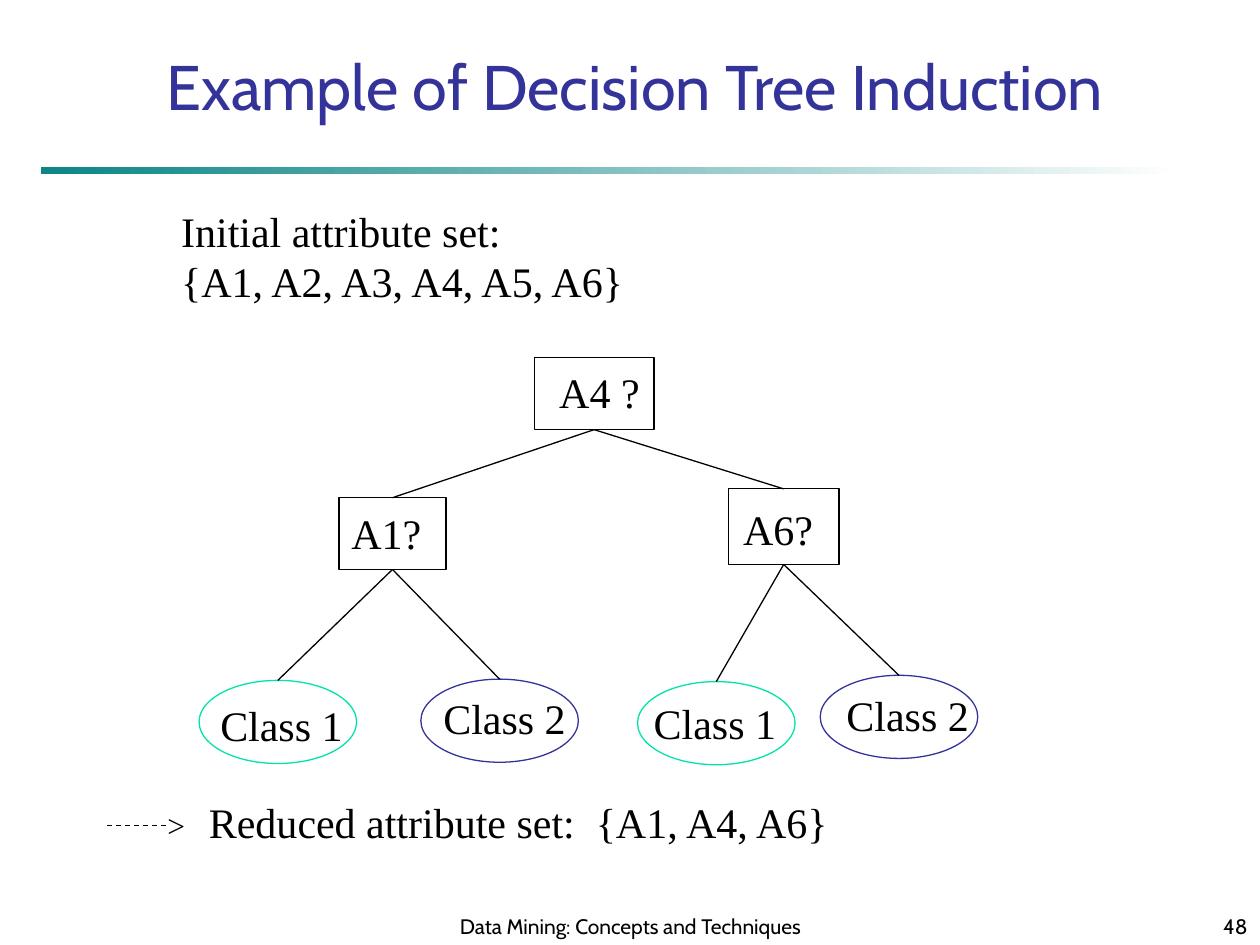
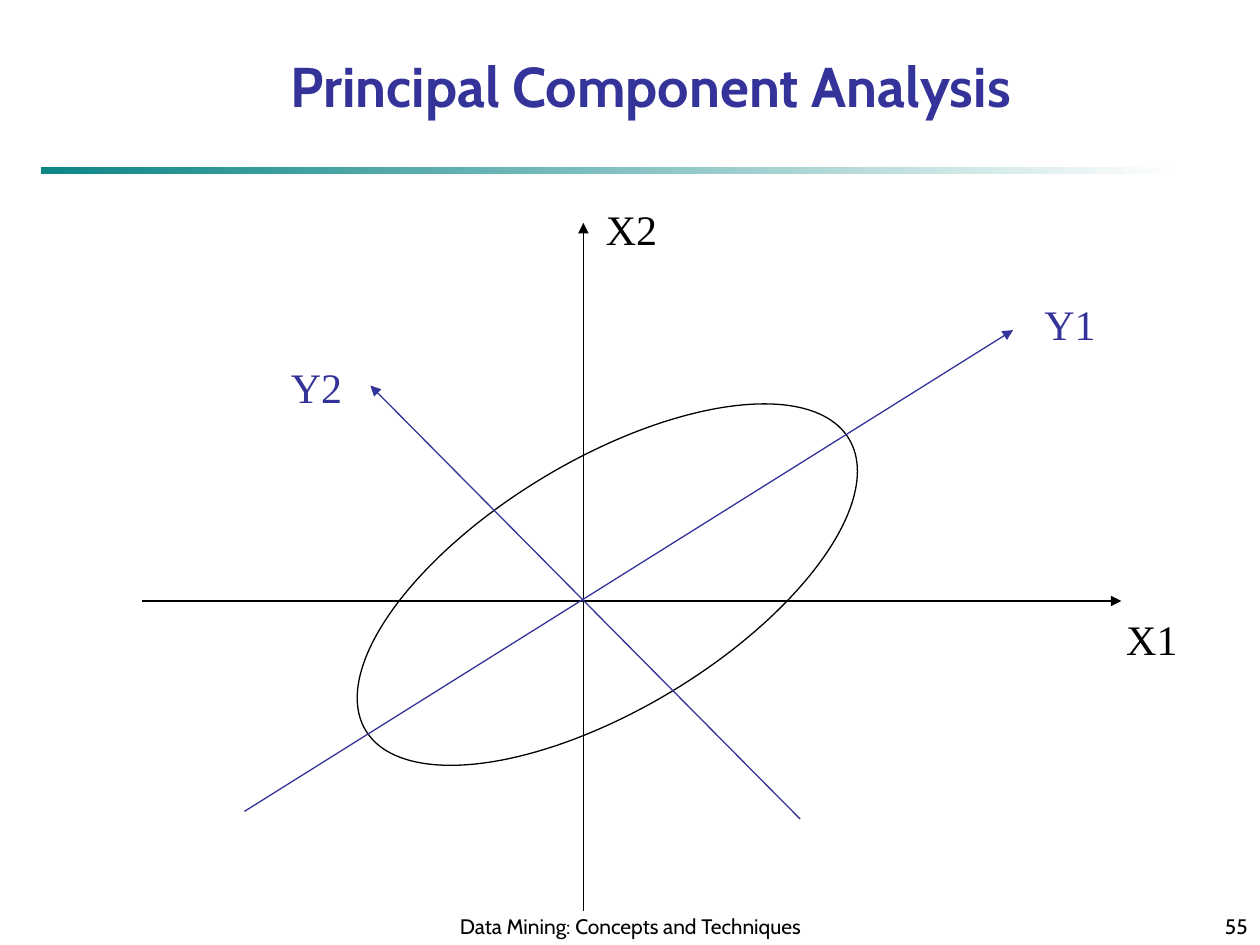
"""Build two data mining slides: a decision tree and principal components."""
from lxml.etree import SubElement
from pptx import Presentation
from pptx.dml.color import RGBColor as Rgb
from pptx.enum.dml import MSO_LINE as Dash
from pptx.enum.shapes import MSO_CONNECTOR as Conn, MSO_SHAPE as Kind
from pptx.enum.text import MSO_ANCHOR as Anchor, MSO_AUTO_SIZE as Fit, PP_ALIGN as Align
from pptx.oxml.ns import qn
from pptx.util import Inches, Pt

COLORS = {"black": "000000", "white": "FFFFFF", "blue": "333399",
          "teal": "008080", "mint": "00E4A8"}
SANS, SERIF = "Cabin", "Times New Roman"
FOOTER = "Data Mining: Concepts and Techniques"


def tint(name):
    return Rgb.from_string(COLORS[name])


def box(*at):
    return [Inches(n) for n in at]


def style(frame, size, color="black", face=SERIF, align=Align.LEFT, bold=False):
    for para in frame.paragraphs:
        para.alignment = align
        font = para.font
        font.size, font.name, font.bold = Pt(size), face, bold
        font.color.rgb = tint(color)


def add_label(page, text, at, size=24, color="black"):
    frame = page.shapes.add_textbox(*box(*at)).text_frame
    frame.text = text
    frame.word_wrap = True
    frame.auto_size = Fit.SHAPE_TO_FIT_TEXT
    style(frame, size, color)


def add_footer(page, text, at, align):
    frame = page.shapes.add_textbox(*box(*at)).text_frame
    frame.text = text
    frame.word_wrap = True
    frame.vertical_anchor = Anchor.BOTTOM
    style(frame, 12, face=SANS, align=align)


def add_outline(page, kind, at, color="black"):
    shape = page.shapes.add_shape(kind, *box(*at))
    shape.shadow.inherit = False
    shape.fill.background()
    shape.line.color.rgb = tint(color)
    shape.line.width = Pt(0.75)
    return shape


def add_line(page, start, end, color="black", arrow=False, dash=None):
    line = page.shapes.add_connector(Conn.STRAIGHT, *box(*start, *end))
    line.line.color.rgb = tint(color)
    line.line.width = Pt(0.75)
    if dash:
        line.line.dash_style = dash
    props = line._element.spPr
    if arrow:
        SubElement(props.find(qn("a:ln")), qn("a:tailEnd"), type="triangle")
    SubElement(props, qn("a:effectLst"))
    return line


def add_edge(page, upper, lower):
    line = add_line(page, (0, 0), (1, 1))
    line.begin_connect(upper, 2)
    line.end_connect(lower, 0)


def add_band(page):
    band = page.shapes.add_shape(Kind.RECTANGLE, *box(0.33, 1.33, 9, 0.05))
    band.shadow.inherit = False
    band.line.fill.background()
    band.fill.gradient()
    band.fill.gradient_angle = 180
    for stop, name in zip(band.fill.gradient_stops, ("white", "teal")):
        stop.color.rgb = tint(name)
    teal = band._element.spPr.findall(".//" + qn("a:srgbClr"))[-1]
    SubElement(teal, qn("a:alpha"), val="95000")


def add_page(deck, title, at, size, number, bold=False):
    page = deck.slides.add_slide(deck.slide_layouts[5])
    head = page.shapes.title
    head.left, head.top, head.width, head.height = box(*at)
    frame = head.text_frame
    frame.text = title
    frame.word_wrap = True
    frame.auto_size = Fit.NONE
    frame.vertical_anchor = Anchor.TOP
    style(frame, size, "blue", SANS, Align.CENTER, bold)
    add_band(page)
    add_footer(page, FOOTER, (3.42, 7.08, 3.17, 0.42), Align.CENTER)
    add_footer(page, str(number), (7.92, 7.08, 2.08, 0.42), Align.RIGHT)
    return page


def draw_tree(deck):
    page = add_page(deck, "Example of Decision Tree Induction",
                    (0.83, 0.33, 8.42, 1.3), 36, 48)
    add_label(page, "Initial attribute set:\n{A1, A2, A3, A4, A5, A6}",
              (1.34, 1.58, 4, 0.9))
    tests = [("A4 ?", (4.24, 2.84, 0.95, 0.57), (4.34, 2.86)),
             ("A1?", (2.69, 3.95, 0.85, 0.57), (2.69, 3.98)),
             ("A6?", (5.78, 3.88, 0.88, 0.6), (5.8, 3.95))]
    leaves = [("Class 1", "mint", (1.58, 5.4), (1.65, 5.5)),
              ("Class 2", "blue", (3.34, 5.39), (3.42, 5.45)),
              ("Class 1", "mint", (5.06, 5.41), (5.09, 5.49)),
              ("Class 2", "blue", (6.51, 5.36), (6.62, 5.42))]
    nodes = []
    for text, at, spot in tests:
        nodes.append(add_outline(page, Kind.RECTANGLE, at))
        add_label(page, text, (*spot, 0.97, 0.5))
    for text, color, at, spot in leaves:
        nodes.append(add_outline(page, Kind.OVAL, (*at, 1.25, 0.66), color))
        add_label(page, text, (*spot, 1.3, 0.5))
    for child in range(1, len(nodes)):
        add_edge(page, nodes[(child - 1) // 2], nodes[child])
    add_line(page, (0.85, 6.55), (1.33, 6.55), dash=Dash.DASH)
    add_label(page, ">", (1.23, 6.35, 0.4, 0.4), 18)
    add_label(page, "Reduced attribute set:  {A1, A4, A6}", (1.56, 6.27, 5.3, 0.5))


def draw_axes(deck):
    page = add_page(deck, "Principal Component Analysis",
                    (1.5, 0.36, 7.33, 0.64), 32, 55, True)
    cloud = add_outline(page, Kind.OVAL, (2.58, 3.65, 4.48, 1.98))
    cloud.rotation = 328.9
    axes = [("X1", "black", (1.13, 4.77), (8.9, 4.77), (8.84, 4.82)),
            ("X2", "black", (4.63, 7.23), (4.63, 1.77), (4.71, 1.57)),
            ("Y1", "blue", (1.94, 6.44), (8.04, 2.62), (8.19, 2.32)),
            ("Y2", "blue", (6.35, 6.5), (2.94, 3.06), (2.21, 2.82))]
    for name, color, start, end, spot in axes:
        add_line(page, start, end, color, arrow=True)
        add_label(page, name, (*spot, 0.7, 0.5), color=color)


def main():
    deck = Presentation()
    deck.slide_width, deck.slide_height = box(10, 7.5)
    draw_tree(deck)
    draw_axes(deck)
    deck.save("out.pptx")


if __name__ == "__main__":
    main()
